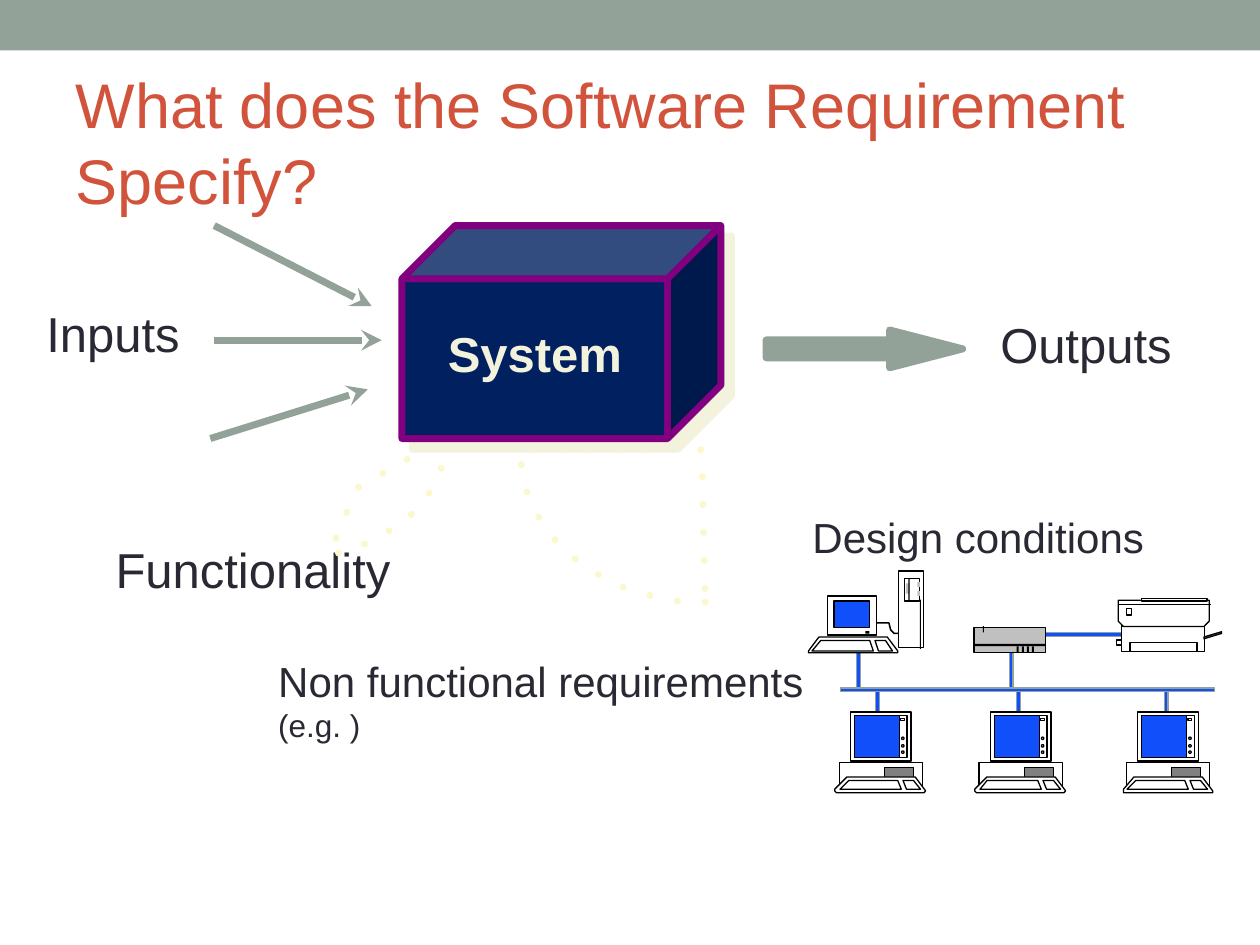
from lxml.etree import SubElement
from pptx import Presentation
from pptx.dml.color import RGBColor
from pptx.enum.shapes import MSO_CONNECTOR, MSO_SHAPE
from pptx.enum.text import MSO_ANCHOR, PP_ALIGN
from pptx.oxml.ns import qn
from pptx.util import Pt

COLORS = {
    "sage": "93A299", "title": "D2533C", "text": "292934", "dots": "FAF8CC",
    "navy": "002060", "purple": "800080", "cream": "F3F2DC", "blue": "114FFB",
    "white": "FFFFFF", "black": "000000", "gray": "808080", "silver": "C0C0C0",
}


def draw(shapes, geometry, fill, line, kind=MSO_SHAPE.RECTANGLE, weight=0.75, close=True):
    """Draw a preset from (left, top, width, height), or an outline from points."""
    if isinstance(geometry[0], tuple):
        builder = shapes.build_freeform(*geometry[0], scale=Pt(1))
        builder.add_line_segments(geometry[1:], close=close)
        shape = builder.convert_to_shape()
    else:
        shape = shapes.add_shape(kind, *map(Pt, geometry))
    shape.shadow.inherit = False
    if fill:
        shape.fill.solid()
        shape.fill.fore_color.rgb = RGBColor.from_string(COLORS[fill])
    else:
        shape.fill.background()
    if line:
        shape.line.color.rgb = RGBColor.from_string(COLORS[line])
        shape.line.width = Pt(weight)
    else:
        shape.line.fill.background()
    return shape


def write(frame, lines, color, bold=False, align=PP_ALIGN.LEFT):
    """Fill a text frame with (text, size) paragraphs."""
    frame.word_wrap = True
    frame.text = "\n".join(text for text, size in lines)
    for paragraph, (text, size) in zip(frame.paragraphs, lines):
        paragraph.alignment = align
        for run in paragraph.runs:
            run.font.name = "Arial"
            run.font.size = Pt(size)
            run.font.bold = bold
            run.font.color.rgb = RGBColor.from_string(COLORS[color])


prs = Presentation()
prs.slide_width, prs.slide_height = Pt(720), Pt(540)
slide = prs.slides.add_slide(prs.slide_layouts[5])
shapes = slide.shapes

draw(shapes, (0, 0, 720, 28.8), "sage", None)
title = shapes.title
title.left, title.top, title.width, title.height = Pt(36), Pt(41.8), Pt(648), Pt(77.8)
write(title.text_frame, [("What does the Software Requirement Specify?", 36)], "title")
title.text_frame.vertical_anchor = MSO_ANCHOR.MIDDLE

# Input and output arrows
for ends in [(120.2, 250.6, 210.2, 222.5), (122.4, 194.4, 218.2, 194.4), (122.4, 128.9, 212.4, 175)]:
    arrow = shapes.add_connector(MSO_CONNECTOR.STRAIGHT, *map(Pt, ends))
    arrow.line.color.rgb = RGBColor.from_string(COLORS["sage"])
    arrow.line.width = Pt(4)
    SubElement(arrow.line._get_or_add_ln(), qn("a:tailEnd"), type="stealth")
    SubElement(arrow._element.spPr, qn("a:effectLst"))
output_arrow = draw(shapes, (437.8, 188.6, 112.3, 21.6), "sage", "sage", MSO_SHAPE.RIGHT_ARROW, 4)
output_arrow.adjustments[0] = 0.472
output_arrow.adjustments[1] = 1.933

labels = [
    ((19.4, 169.9, 91.4, 41), [("Inputs", 28)]),
    ((564.5, 176.4, 113.8, 41), [("Outputs", 28)]),
    ((59, 304.6, 173.5, 41), [("Functionality", 28)]),
    ((151.9, 370.8, 318.2, 58.3), [("Non functional requirements", 24), ("(e.g. )", 18)]),
    ((457.2, 288.7, 205.9, 36.7), [("Design conditions", 24)]),
]
for box, lines in labels:
    write(shapes.add_textbox(*map(Pt, box)).text_frame, lines, "text")

# Dotted sectors: corner point, then cubic curves that share their end points
sectors = [
    ((401, 257), [((403.2, 344.2), (402.5, 344.2), (401.8, 344.2), (401, 344.2)),
                  ((401, 344.2), (343.4, 344.2), (297.4, 305.3), (297.4, 257))]),
    ((203.8, 279.4), [((250.6, 252), (259.2, 266.4), (244.8, 290.2), (219.6, 305.3)),
                      ((219.6, 305.3), (209.5, 311), (198, 315.4), (187.9, 316.8))]),
]
STEPS = 16
for corner, curves in sectors:
    points = [curves[0][0]]
    for curve in curves:
        for step in range(1, STEPS + 1):
            t = step / STEPS
            weights = ((1 - t) ** 3, 3 * t * (1 - t) ** 2, 3 * t * t * (1 - t), t ** 3)
            points.append(tuple(sum(w * p[axis] for w, p in zip(weights, curve)) for axis in (0, 1)))
    sector = draw(shapes, points + [corner], None, "dots", weight=4)
    outline = sector.line._get_or_add_ln()
    outline.set("cap", "rnd")
    SubElement(outline, qn("a:prstDash"), val="dot")

# Network: cables first, then the devices
network = shapes.add_group_shape().shapes
cables = [
    (665.3, 393.8, 2.2, 23), (581, 393.1, 2.2, 23.8), (576.7, 370.8, 2.2, 23),
    (500.4, 393.8, 2.2, 23.8), (489.6, 370.1, 2.2, 23), (586.1, 361.4, 58.3, 2.2),
    (480.2, 393.1, 213.8, 2.2),
]
for cable in cables:
    draw(network, cable, "blue", "sage")

keyboard = [
    [(6.5, 0), (45.4, 0), (51.8, 8.7), (51.1, 9.4), (0.7, 9.4), (0, 8.7), (0, 7.9)],
    [(7.2, 2.2), (35.3, 2.2), (37.4, 7.9), (2.9, 7.9)],
    [(38.2, 2.2), (44.6, 2.2), (49, 7.9), (40.3, 7.9)],
]
computer_lefts, computer_top = (477.4, 557.3, 641.5), 406.8
computer_parts = [
    ((2.2, 28.8, 47.5, 14.4), "white"),
    ((28.1, 31.7, 16.6, 6.5), "gray"),
    ((8.6, 0, 34.6, 28.1), "white"),
    ((10.8, 2.2, 29.5, 23.8), "blue"),
    ((36.7, 2.2, 4.3, 23.8), "white"),
    ((37.4, 3.6, 2.2, 1.4), "white"),
]
for left in computer_lefts:
    for (x, y, width, height), fill in computer_parts:
        draw(network, (left + x, computer_top + y, width, height), fill, "black")
    for y in (14.4, 18.7, 22.3):
        draw(network, (left + 37.8, computer_top + y, 1.4, 1.4), "white", "black", MSO_SHAPE.OVAL)

mouse_cable = [(500.4, 356.4), (505.4, 355.7), (507.6, 356.4), (509, 360),
               (509.8, 361.4), (511.2, 362.2), (514.1, 362.2)]
draw(network, mouse_cable, None, "black", weight=0.87, close=False)
for left, top in [(x, computer_top + 36.7) for x in computer_lefts] + [(461.5, 363.6)]:
    for part in keyboard:
        draw(network, [(left + x, top + y) for x, y in part], "white", "black")

devices = [
    # Modem
    ((556.6, 358.6, 41, 14.4), "silver", "black"),
    ((556.6, 367.9, 41, 1.4), "black", None),
    *[((x, 369.4, 1.2, 3.6), "black", None) for x in (581, 583.9, 586.8, 589.7)],
    ((561.6, 357.8, 0.7, 3.6), "black", None),
    # Printer
    ((640.8, 357.8, 47.5, 14.4), "white", "black"),
    ((645.8, 367.2, 38.2, 5), "white", "black"),
    ([(639.4, 355), (641.5, 357.8), (688.3, 357.8), (691.2, 355), (691.2, 343.4), (639.4, 343.4)],
     "white", "black"),
    ((637.9, 365.8, 2.9, 2.9), "white", "black"),
    ((652.3, 342, 37.4, 1.4), "white", "black"),
    ([(688.3, 363.6), (698.4, 360.7), (698.4, 362.2), (688.3, 365)], "white", "black"),
    ((643.7, 347.8, 2.9, 3.6), "white", "black"),
    # Workstation monitor and tower
    ((473, 340.6, 28.1, 22.3), "white", "black"),
    ((476.6, 343.4, 20.2, 15.1), "blue", "black"),
    ((494.6, 360.7, 2.2, 1.4), "black", None),
    ((513.4, 326.2, 14.4, 43.9), "white", "black"),
    ((517, 330.5, 8.6, 13), "white", "black"),
    ((525.6, 342.7, 0.7, 28.1), "black", None),
    ((517.7, 333.4, 2.2, 5.8), "silver", None),
    ((519.1, 330.5, 0.7, 13), "black", None),
    *[((524.2, y, 1.4, 2.9), "silver", None) for y in (332.6, 337.7)],
]
for geometry, fill, line in devices:
    draw(network, geometry, fill, line)
printer_seam = network.add_connector(MSO_CONNECTOR.STRAIGHT, Pt(639.4), Pt(345.6), Pt(691.9), Pt(345.6))
printer_seam.line.color.rgb = RGBColor.from_string(COLORS["black"])
printer_seam.line.width = Pt(0.75)
SubElement(printer_seam._element.spPr, qn("a:effectLst"))

# System cube with an offset shadow
system = shapes.add_group_shape().shapes
cube = draw(system, (229.7, 128.9, 182.2, 121.7), "navy", "purple", MSO_SHAPE.CUBE, 4)
cube.adjustments[0] = 0.25
effects = cube._element.spPr.find(qn("a:effectLst"))
shadow = SubElement(effects, qn("a:outerShdw"), dist=str(Pt(8.5)), dir="2700000",
                    algn="ctr", rotWithShape="0")
SubElement(shadow, qn("a:srgbClr"), val=COLORS["cream"])
system_label = system.add_textbox(Pt(236.9), Pt(181.4), Pt(137.5), Pt(41))
system_label.fill.solid()
system_label.fill.fore_color.rgb = RGBColor.from_string(COLORS["navy"])
write(system_label.text_frame, [("System", 28)], "cream", bold=True, align=PP_ALIGN.CENTER)

prs.save("out.pptx")
